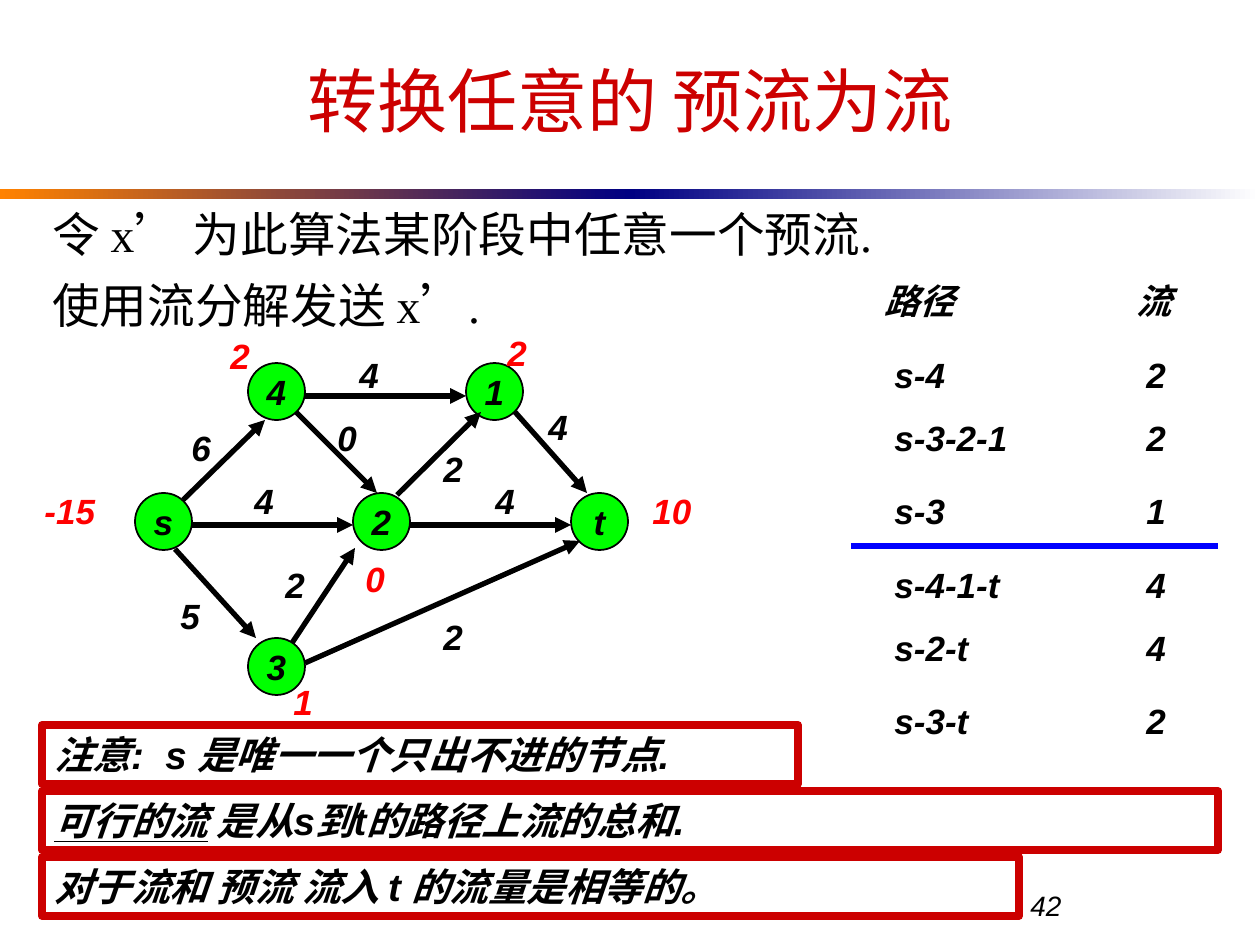
from pptx import Presentation
from pptx.dml.color import RGBColor
from pptx.enum.shapes import MSO_CONNECTOR, MSO_SHAPE
from pptx.enum.text import MSO_ANCHOR, PP_ALIGN
from pptx.oxml.ns import qn
from pptx.util import Emu, Pt
from lxml.etree import SubElement

BLACK = RGBColor(0x00, 0x00, 0x00)
WHITE = RGBColor(0xFF, 0xFF, 0xFF)
RED = RGBColor(0xFF, 0x00, 0x00)
CRIMSON = RGBColor(0xCC, 0x00, 0x00)
GREEN = RGBColor(0x00, 0xFF, 0x00)
BLUE = RGBColor(0x00, 0x00, 0xFF)
NAVY = RGBColor(0x00, 0x00, 0x82)
ORANGE = RGBColor(0xFF, 0x82, 0x00)

TITLE = "转换任意的 预流为流"
BODY = ["令 x’ 为此算法某阶段中任意一个预流.", "使用流分解发送 x’."]
PAGE = "42"

BANDS = [(0, ORANGE, NAVY), (630, NAVY, WHITE)]
NODE = 57
NODES = [("s", 135, 493), ("2", 353, 493), ("1", 466, 363),
         ("t", 571, 493), ("3", 248, 638), ("4", 248, 363)]
EDGES = [
    (183, 500, 265, 420), (175, 549, 256, 638), (305, 396, 466, 396),
    (192, 525, 353, 525), (296, 412, 377, 493), (410, 525, 571, 525),
    (305, 663, 580, 541), (515, 412, 587, 493), (397, 495, 481, 412),
    (292, 643, 355, 548),
]
CAPACITIES = [
    ("6", 179, 420), ("4", 242, 473), ("5", 168, 588), ("4", 347, 347),
    ("0", 325, 410), ("2", 431, 441), ("4", 536, 399), ("2", 273, 557),
    ("4", 483, 473), ("2", 431, 609),
]
EXCESSES = [
    ("2", 218, 328), ("1", 281, 674), ("0", 353, 551),
    ("2", 495, 325), ("10", 640, 483), ("-15", 32, 483),
]
LABEL_WIDTHS = {1: 49, 2: 73, 3: 95}
LABEL_H = 55

HEADER = ("路径", "流")
HEADER_Y = 273
PATHS = [("s-4", "2"), ("s-3-2-1", "2"), ("s-3", "1"),
         ("s-4-1-t", "4"), ("s-2-t", "4"), ("s-3-t", "2")]
GROUP_TOPS = (347, 557)
ROW_OFFSETS = (0, 63, 136)
COLUMNS = ((882, 168), (1134, 105))
HEADER_SHIFT = 10

NOTES = [
    (756, [("注意:  s 是唯一一个只出不进的节点.", False)]),
    (1176, [("可行的流", True), (" 是从s到t的路径上流的总和.", False)]),
    (977, [("对于流和 预流 流入 t 的流量是相等的。", False)]),
]
NOTE_X, NOTE_Y, NOTE_STEP, NOTE_H = 42, 725, 66, 59

SCALE = 914400 / 126


def px(*values):
    return [Emu(round(v * SCALE)) for v in values]


def put_text(s, paragraphs, size=20, font="Arial", color=BLACK, bold=True,
             italic=True, align=PP_ALIGN.LEFT, anchor=MSO_ANCHOR.TOP,
             wrap=True, gap=0):
    tf = s.text_frame
    tf.word_wrap = wrap
    tf.vertical_anchor = anchor
    for i, runs in enumerate(paragraphs):
        p = tf.add_paragraph() if i else tf.paragraphs[0]
        p.alignment = align
        if i:
            p.space_before = Pt(gap)
        for text, underline in runs:
            r = p.add_run()
            r.text = text
            f = r.font
            f.name, f.size, f.bold, f.italic = font, Pt(size), bold, italic
            f.underline = underline
            f.color.rgb = color


def add_text(shapes, text, x, y, w, h, **fmt):
    lines = [text] if isinstance(text, str) else text
    s = shapes.add_textbox(*px(x, y, w, h))
    put_text(s, [[(line, False)] for line in lines], **fmt)


def add_box(shapes, kind, x, y, w, h, fill, line, width):
    s = shapes.add_shape(kind, *px(x, y, w, h))
    s.shadow.inherit = False
    s.fill.solid()
    s.fill.fore_color.rgb = fill
    s.line.color.rgb = line
    s.line.width = Pt(width)
    return s


def add_band(shapes, x, start, end):
    s = shapes.add_shape(MSO_SHAPE.RECTANGLE, *px(x, 189, 630, 10))
    s.shadow.inherit = False
    s.line.fill.background()
    s.fill.gradient()
    s.fill.gradient_angle = 0
    for stop, color, at in zip(s.fill.gradient_stops, (start, end), (0, 1)):
        stop.color.rgb = color
        stop.position = at


def add_line(shapes, x1, y1, x2, y2, color=BLACK, arrow=True):
    s = shapes.add_connector(MSO_CONNECTOR.STRAIGHT, *px(x1, y1, x2, y2))
    s.line.color.rgb = color
    s.line.width = Pt(3)
    if arrow:
        SubElement(s.line._get_or_add_ln(), qn("a:tailEnd"), type="triangle")
    SubElement(s._element.spPr, qn("a:effectLst"))


def add_network(shapes):
    for name, x, y in NODES:
        s = add_box(shapes, MSO_SHAPE.OVAL, x, y, NODE, NODE, GREEN, BLACK, 1)
        put_text(s, [[(name, False)]], align=PP_ALIGN.CENTER,
                 anchor=MSO_ANCHOR.MIDDLE, wrap=False)
    for edge in EDGES:
        add_line(shapes, *edge)
    for labels, color in ((CAPACITIES, BLACK), (EXCESSES, RED)):
        for text, x, y in labels:
            add_text(shapes, text, x, y, LABEL_WIDTHS[len(text)], LABEL_H,
                     color=color)


def add_paths(shapes):
    for text, (x, w) in zip(HEADER, COLUMNS):
        add_text(shapes, text, x - HEADER_SHIFT, HEADER_Y, w, LABEL_H)
    tops = [top + offset for top in GROUP_TOPS for offset in ROW_OFFSETS]
    for y, row in zip(tops, PATHS):
        for text, (x, w) in zip(row, COLUMNS):
            add_text(shapes, text, x, y, w, LABEL_H)
    add_line(shapes, 851, 546, 1218, 546, color=BLUE, arrow=False)


def add_notes(shapes):
    for i, (w, runs) in enumerate(NOTES):
        s = add_box(shapes, MSO_SHAPE.RECTANGLE, NOTE_X,
                    NOTE_Y + i * NOTE_STEP, w, NOTE_H, WHITE, CRIMSON, 4.5)
        put_text(s, [runs], size=22)


def main():
    prs = Presentation()
    prs.slide_width, prs.slide_height = px(1260, 945)
    shapes = prs.slides.add_slide(prs.slide_layouts[6]).shapes
    for band in BANDS:
        add_band(shapes, *band)
    add_text(shapes, PAGE, 1018, 882, 242, 63, size=16, bold=False)
    add_text(shapes, TITLE, 63, 32, 1134, 136, size=40, color=CRIMSON,
             bold=False, italic=False, align=PP_ALIGN.CENTER,
             anchor=MSO_ANCHOR.MIDDLE)
    add_text(shapes, BODY, 40, 199, 1144, 147, size=27.2, bold=False,
             italic=False, font="Times New Roman", gap=8)
    add_network(shapes)
    add_paths(shapes)
    add_notes(shapes)
    prs.save("out.pptx")


if __name__ == "__main__":
    main()
